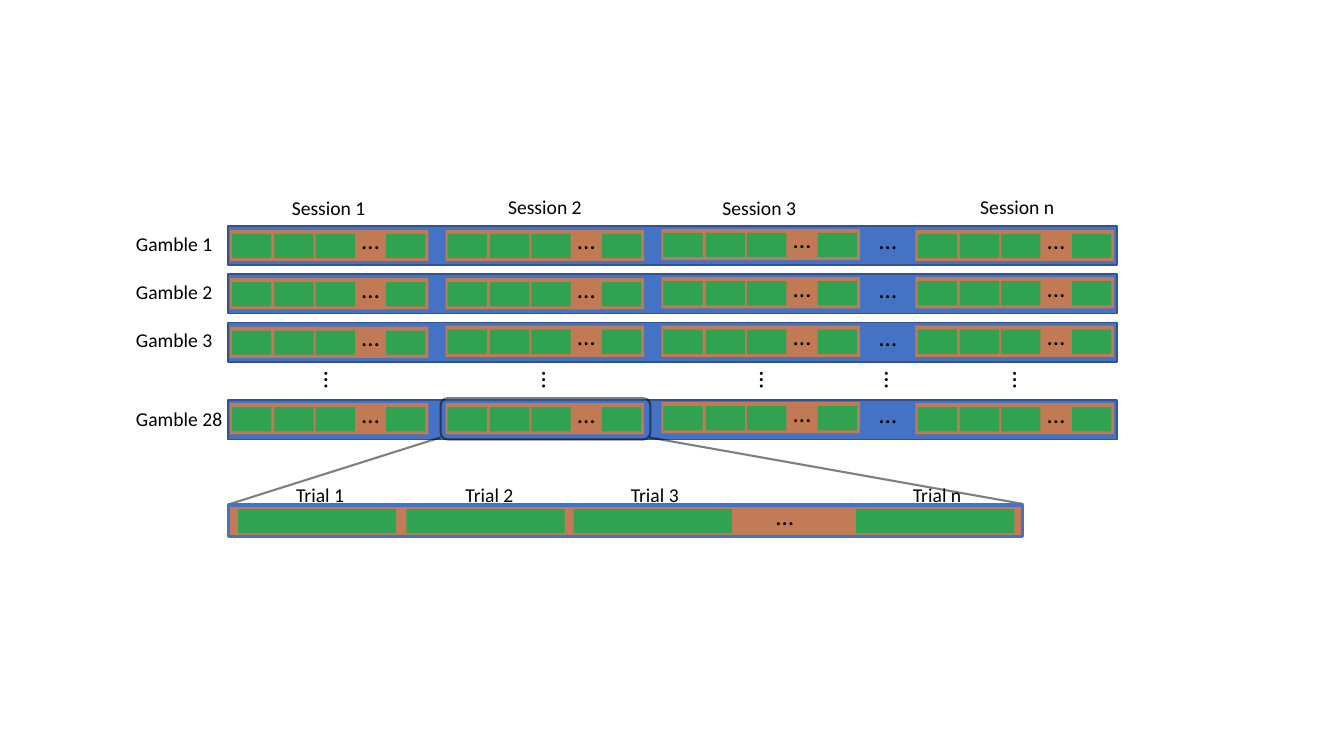
from lxml import etree
from pptx import Presentation
from pptx import util as u
from pptx.dml.color import RGBColor
from pptx.enum import shapes, text
from pptx.oxml.ns import qn

PX = 9144  # EMU per px, at 100 px to the inch
FONT = "Calibri"
HEX = {
    "bar": "4472C4", "edge": "325491", "block": "ED7D31", "trial": "00B050",
    "zoom": "C27B56", "step": "31A352", "ink": "000000",
}
LEFT, CENTER = text.PP_ALIGN.LEFT, text.PP_ALIGN.CENTER

# Label, bar top, top of each session block
ROWS = [
    ("Gamble 1", 224, (228, 228, 227, 228)),
    ("Gamble 2", 272, (276, 276, 275, 275)),
    ("Gamble 3", 320, (324, 323, 323, 323)),
    ("Gamble 28", 397, (400, 400, 399, 400)),
]
BLOCKS = (228, 442, 656, 908)
SLOTS = (2, 44, 85, 155)
# Label, left, top, width
HEADS = [
    ("Session 1", 229, 189, 194), ("Session 2", 444, 188, 193),
    ("Session 3", 657, 189, 192), ("Session n", 910, 188, 198),
]
# Label, label left, bar left
STEPS = [
    ("Trial 1", 239, 236), ("Trial 2", 407, 403),
    ("Trial 3", 571, 569), ("Trial n", 851, 849),
]


def px(*vals):
    return [u.Emu(val * PX) for val in vals]


def paint(fill, name, alpha=100):
    """Set a solid colour, with alpha as the percentage of opacity."""
    fill.solid()
    fill.fore_color.rgb = RGBColor.from_string(HEX[name])
    if alpha < 100:
        tint = fill._xPr.find(qn("a:solidFill"))[0]
        etree.SubElement(tint, qn("a:alpha")).set("val", str(alpha * 1000))


def stroke(line, name, width, alpha=100):
    paint(line.fill, name, alpha)
    line.width = u.Pt(width)


def box(home, at, fill=None, alpha=100, line=None, kind="RECTANGLE"):
    """Add a shape; line holds colour name, width and optional opacity."""
    shape = home.add_shape(getattr(shapes.MSO_SHAPE, kind), *px(*at))
    shape.shadow.inherit = False
    if fill:
        paint(shape.fill, fill, alpha)
    else:
        shape.fill.background()
    if line:
        stroke(shape.line, *line)
    else:
        shape.line.fill.background()


def label(home, words, at, size=14, align=CENTER, wrap=True):
    shape = home.add_textbox(*px(*at))
    frame = shape.text_frame
    frame.word_wrap = wrap
    frame.auto_size = text.MSO_AUTO_SIZE.SHAPE_TO_FIT_TEXT
    para = frame.paragraphs[0]
    para.alignment = align
    run = para.add_run()
    run.text = words
    run.font.name, run.font.size = FONT, u.Pt(size)
    run.font.color.rgb = RGBColor.from_string(HEX["ink"])
    return shape


def dots(home, left, top, width=38):
    label(home, "…", (left, top, width, 40), 18, LEFT, False)


def column(home, left):
    """Add an upright ellipsis between the gamble rows."""
    shape = label(home, "…", (left, 364, 50, 27), 18, CENTER, False)
    shape.text_frame.vertical_anchor = text.MSO_ANCHOR.MIDDLE
    shape.element.txBody.find(qn("a:bodyPr")).set("vert", "vert")


def block(home, left, top):
    """Add one session with its trials."""
    box(home, (left, top, 197, 31), "block", 75)
    for slot in SLOTS:
        box(home, (left + slot, top + 4, 39, 24), "trial", 75)
    dots(home, left + 121, top - 10)


def gamble(home, top, tops):
    group = home.add_group_shape().shapes
    box(group, (226, top, 882, 39), "bar", line=("edge", 1))
    for left, y in zip(BLOCKS, tops):
        block(group, left, y)
    dots(group, 862, tops[0] - 10)


def ray(home, *ends):
    line = home.add_connector(shapes.MSO_CONNECTOR.STRAIGHT, *px(*ends))
    stroke(line.line, "ink", 1.5, 50)
    etree.SubElement(line.element.spPr, qn("a:effectLst"))


def zoom(home):
    """Add the enlarged session."""
    group = home.add_group_shape().shapes
    box(group, (227, 501, 787, 31), "zoom", line=("bar", 2.25))
    for _, _, left in STEPS:
        box(group, (left, 505, 157, 24), "step")
    dots(group, 760, 491, 150)


def main():
    deck = Presentation()
    deck.slide_width, deck.slide_height = u.Inches(13.33), u.Inches(7.5)
    home = deck.slides.add_slide(deck.slide_layouts[6]).shapes

    for _, top, tops in ROWS:
        gamble(home, top, tops)
    for left in (307, 990, 739, 523, 863):
        column(home, left)

    box(home, (437, 395, 208, 41), line=("ink", 1.5, 50),
        kind="ROUNDED_RECTANGLE")
    ray(home, 437, 434, 228, 500)
    ray(home, 644, 434, 1015, 500)
    zoom(home)

    for words, left, top, width in HEADS:
        label(home, words, (left, top, width, 34))
    for (words, _, _), top in zip(ROWS, (225, 273, 320, 399)):
        label(home, words, (125, top, 114, 34), align=LEFT)
    for words, left, _ in STEPS:
        label(home, words, (left, 474, 157, 34))

    deck.save("out.pptx")


if __name__ == "__main__":
    main()
